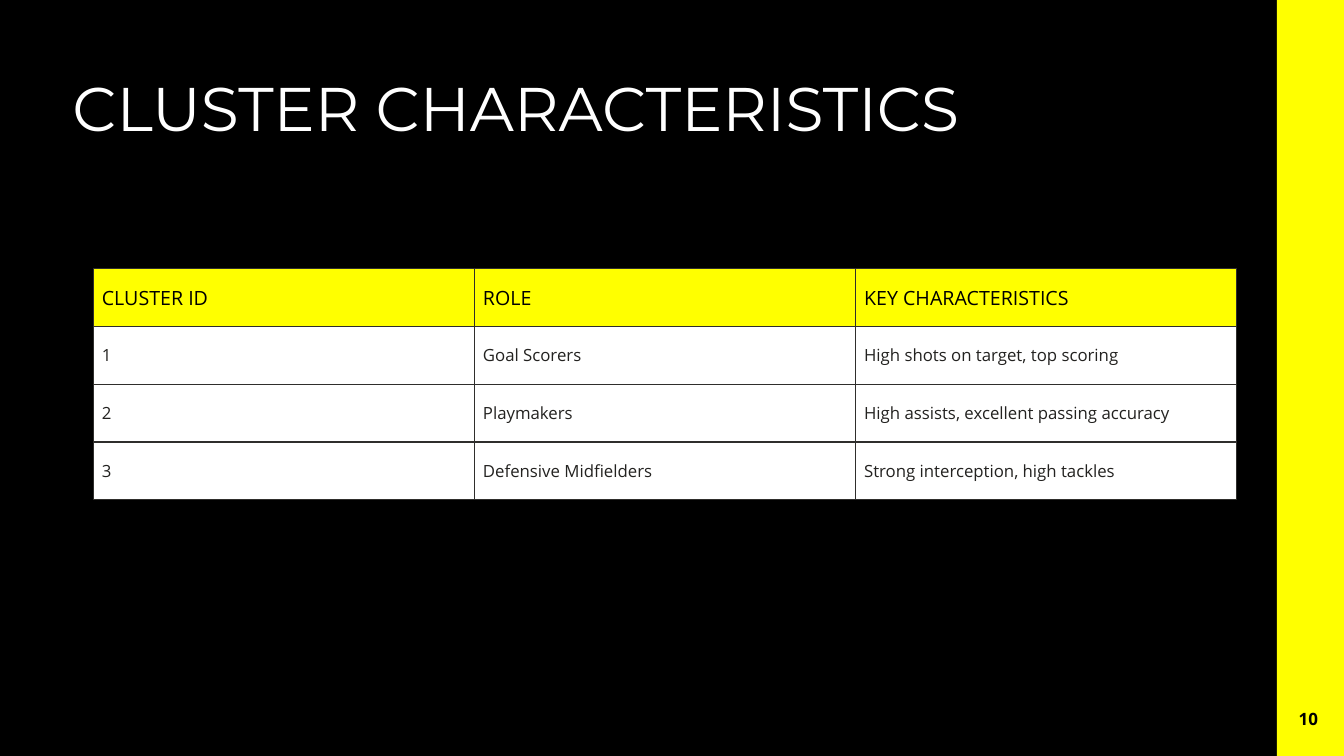
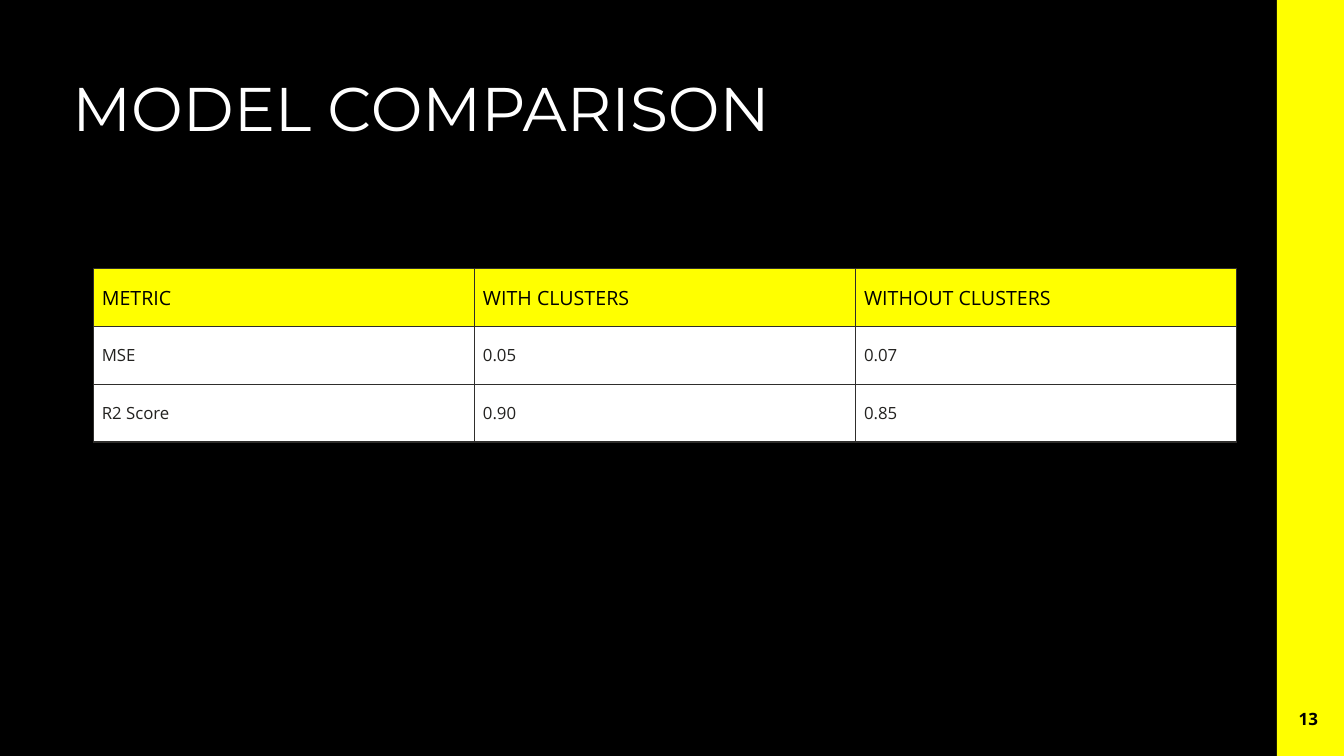
from dataclasses import dataclass

from lxml import etree
from pptx import Presentation
from pptx.dml.color import RGBColor
from pptx.enum.shapes import MSO_SHAPE
from pptx.enum.text import MSO_ANCHOR, PP_ALIGN
from pptx.oxml.ns import qn
from pptx.slide import Slide
from pptx.table import _Cell
from pptx.text.text import TextFrame
from pptx.util import Emu, Pt

RECTANGLE = MSO_SHAPE.RECTANGLE
TOP, MIDDLE = MSO_ANCHOR.TOP, MSO_ANCHOR.MIDDLE
LEFT, CENTER = PP_ALIGN.LEFT, PP_ALIGN.CENTER
EMU_PER_PX = 9525
BORDER_SIDES = ("a:lnL", "a:lnR", "a:lnT", "a:lnB")


@dataclass(frozen=True)
class Theme:
    background: str = "000000"
    accent: str = "FFFF00"
    accent_text: str = "000000"
    title_text: str = "FFFFFF"
    cell: str = "FFFFFF"
    cell_text: str = "232220"
    border: str = "2F2E2C"
    title_font: str = "Montserrat"
    body_font: str = "Open Sans"
    title_size: float = 44
    header_size: float = 14
    cell_size: float = 12
    number_size: float = 12.1
    border_width: float = 1


@dataclass(frozen=True)
class Area:
    left: int
    top: int
    width: int
    height: int

    def emu(self) -> tuple[Emu, Emu, Emu, Emu]:
        return px(self.left), px(self.top), px(self.width), px(self.height)


@dataclass(frozen=True)
class TablePage:
    title: str
    number: int
    rows: tuple[tuple[str, ...], ...]


THEME = Theme()
PAGE_WIDTH, PAGE_HEIGHT = 1280, 720
BAND = Area(1216, 0, 64, PAGE_HEIGHT)
TITLE = Area(62, 60, 1088, 100)
NUMBER = Area(1214, 666, 64, 37)
TABLE_LEFT, TABLE_TOP = 89, 256
COLUMN_WIDTH, ROW_HEIGHT = 363, 55
BOX_INSET, CELL_INSET = 7, 8

PAGES = (
    TablePage("CLUSTER CHARACTERISTICS", 10, (
        ("CLUSTER ID", "ROLE", "KEY CHARACTERISTICS"),
        ("1", "Goal Scorers", "High shots on target, top scoring"),
        ("2", "Playmakers", "High assists, excellent passing accuracy"),
        ("3", "Defensive Midfielders", "Strong interception, high tackles"),
    )),
    TablePage("MODEL COMPARISON", 13, (
        ("METRIC", "WITH CLUSTERS", "WITHOUT CLUSTERS"),
        ("MSE", "0.05", "0.07"),
        ("R2 Score", "0.90", "0.85"),
    )),
)


def px(length: int) -> Emu:
    return Emu(length * EMU_PER_PX)


def write_text(frame: TextFrame, text: str, *, size: float, color: str,
               font: str = THEME.body_font, bold: bool = False,
               align: PP_ALIGN = LEFT) -> None:
    para = frame.paragraphs[0]
    para.alignment = align
    span = para.add_run()
    span.text = text
    span.font.name = font
    span.font.size = Pt(size)
    span.font.bold = bold
    span.font.color.rgb = RGBColor.from_string(color)


def add_box(page: Slide, area: Area, anchor: MSO_ANCHOR) -> TextFrame:
    frame = page.shapes.add_textbox(*area.emu()).text_frame
    frame.word_wrap = True
    frame.vertical_anchor = anchor
    frame.margin_left = frame.margin_right = px(BOX_INSET)
    frame.margin_top = frame.margin_bottom = px(BOX_INSET)
    return frame


def add_band(page: Slide) -> None:
    band = page.shapes.add_shape(RECTANGLE, *BAND.emu())
    band.shadow.inherit = False
    band.fill.solid()
    band.fill.fore_color.rgb = RGBColor.from_string(THEME.accent)
    band.line.fill.background()


def add_borders(cell: _Cell) -> None:
    properties = cell._tc.get_or_add_tcPr()
    for side in BORDER_SIDES:
        line = etree.SubElement(properties, qn(side), w=str(Pt(THEME.border_width)))
        fill = etree.SubElement(line, qn("a:solidFill"))
        etree.SubElement(fill, qn("a:srgbClr"), val=THEME.border)


def format_cell(cell: _Cell, text: str, is_header: bool) -> None:
    add_borders(cell)
    cell.fill.solid()
    cell.fill.fore_color.rgb = RGBColor.from_string(
        THEME.accent if is_header else THEME.cell)
    cell.vertical_anchor = MIDDLE
    cell.margin_left = cell.margin_right = px(CELL_INSET)
    cell.margin_top = cell.margin_bottom = px(CELL_INSET)
    write_text(cell.text_frame, text,
               size=THEME.header_size if is_header else THEME.cell_size,
               color=THEME.accent_text if is_header else THEME.cell_text)


def add_data_table(page: Slide, rows: tuple[tuple[str, ...], ...]) -> None:
    row_count, column_count = len(rows), len(rows[0])
    area = Area(TABLE_LEFT, TABLE_TOP,
                column_count * COLUMN_WIDTH, row_count * ROW_HEIGHT)
    table = page.shapes.add_table(row_count, column_count, *area.emu()).table
    table.first_row = table.horz_banding = False
    for row_index, row in enumerate(rows):
        for column_index, text in enumerate(row):
            format_cell(table.cell(row_index, column_index), text, row_index == 0)


def add_page(deck: Presentation, content: TablePage) -> None:
    page = deck.slides.add_slide(deck.slide_layouts.get_by_name("Blank"))
    add_band(page)
    add_data_table(page, content.rows)
    write_text(add_box(page, TITLE, TOP), content.title, font=THEME.title_font,
               size=THEME.title_size, color=THEME.title_text)
    write_text(add_box(page, NUMBER, MIDDLE), str(content.number), bold=True,
               size=THEME.number_size, color=THEME.accent_text, align=CENTER)


def main() -> None:
    deck = Presentation()
    deck.slide_width, deck.slide_height = px(PAGE_WIDTH), px(PAGE_HEIGHT)
    background = deck.slide_master.background.fill
    background.solid()
    background.fore_color.rgb = RGBColor.from_string(THEME.background)
    for content in PAGES:
        add_page(deck, content)
    deck.save("out.pptx")


if __name__ == "__main__":
    main()
